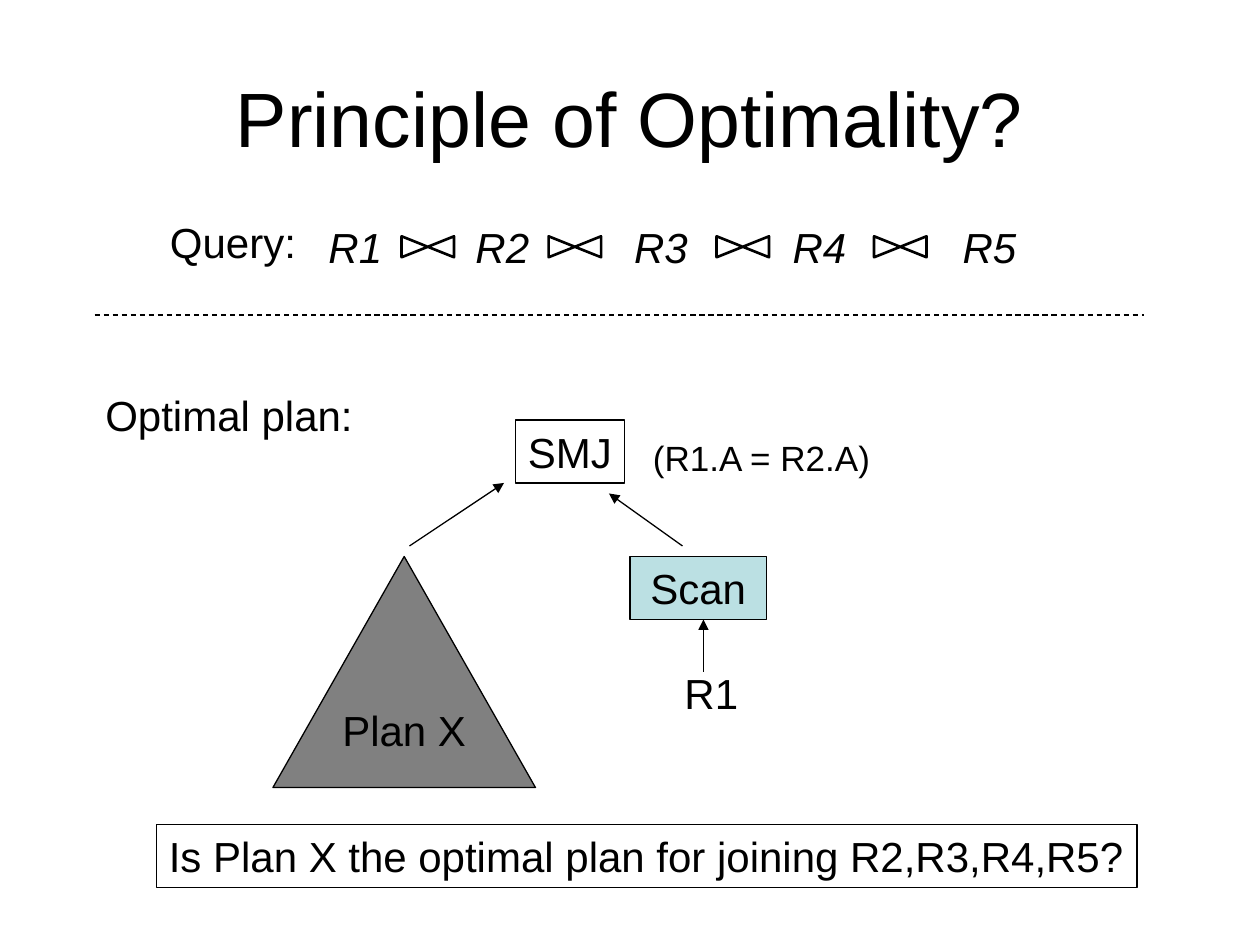
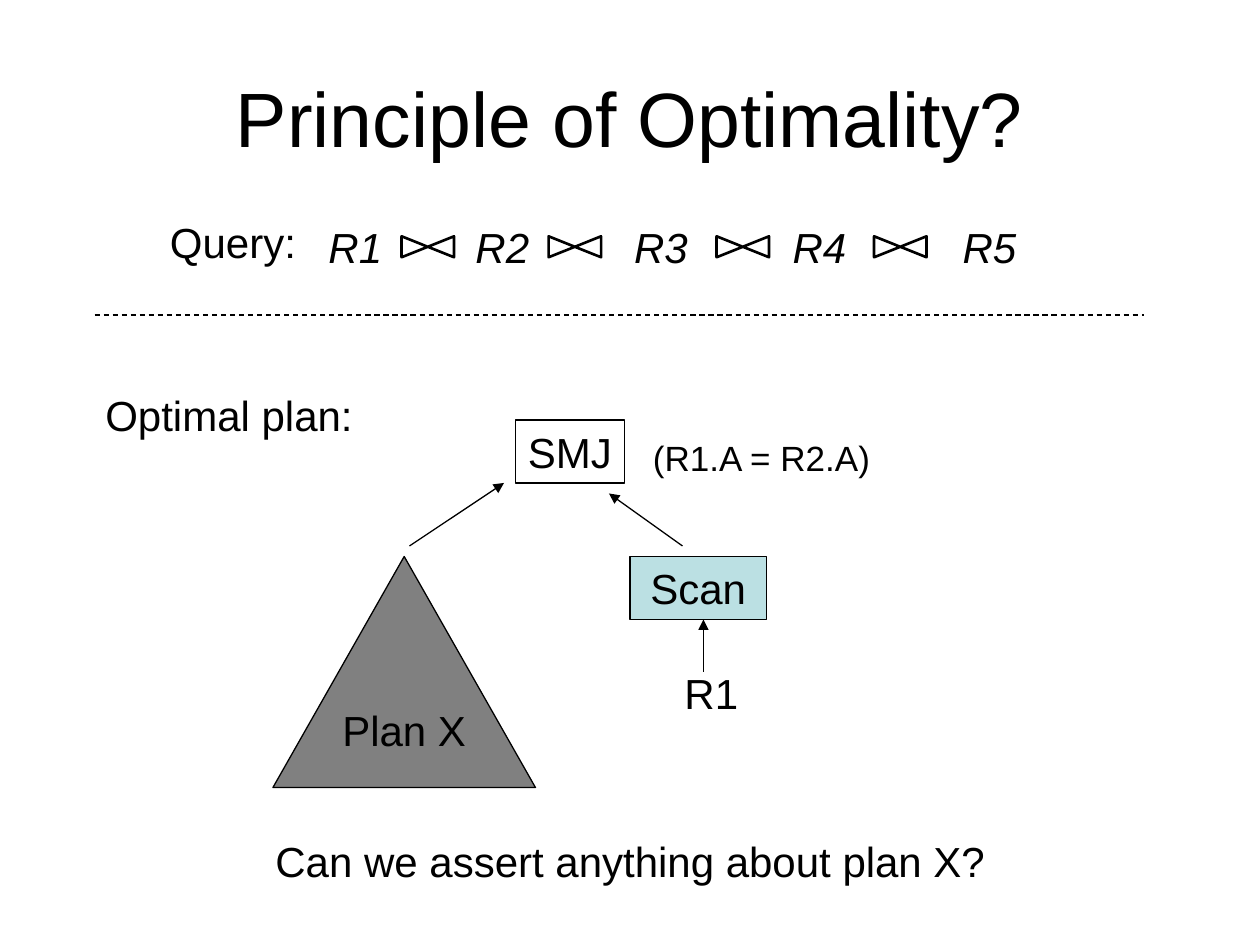
"""Build two slides on the principle of optimality for join plans."""
from pptx import Presentation
from pptx import util as u
from pptx.dml.color import RGBColor
from pptx.enum import dml, shapes, text
from pptx.oxml.ns import qn
from lxml import etree

BLACK = RGBColor(0x00, 0x00, 0x00)
WHITE = RGBColor(0xFF, 0xFF, 0xFF)
GRAY = RGBColor(0x80, 0x80, 0x80)
TEAL = RGBColor(0xBB, 0xE0, 0xE3)
FONT = "Arial"
LEFT, CENTER = text.PP_ALIGN.LEFT, text.PP_ALIGN.CENTER
TOP, MIDDLE = text.MSO_ANCHOR.TOP, text.MSO_ANCHOR.MIDDLE
RECT = shapes.MSO_SHAPE.RECTANGLE

deck = Presentation()
deck.slide_width, deck.slide_height = u.Inches(10), u.Inches(7.5)
COLUMN, ROW = deck.slide_width / 120, deck.slide_height / 90


def cells(x, y, width, height):
    return int(x * COLUMN), int(y * ROW), int(width * COLUMN), int(height * ROW)


def write(frame, words, size=24, align=LEFT, anchor=TOP, wrap=False, italic=None):
    frame.word_wrap = wrap
    frame.vertical_anchor = anchor
    paragraph = frame.paragraphs[0]
    paragraph.alignment = align
    run = paragraph.add_run()
    run.text = words
    run.font.name, run.font.size, run.font.italic = FONT, u.Pt(size), italic
    run.font.color.rgb = BLACK
    return paragraph


relations = ["R1", "R2", "R3", "R4", "R5"]
relation_stops = [14, 29.1, 44.2, 60.4]
join_columns = [39.75, 53.75, 69.75, 84.75]

labels = [
    ("Optimal plan:", (8.85, 36.5, 28, 6), 24),
    ("(R1.A = R2.A)", (61, 41, 25, 5.25), 20),
    ("R1", (64, 63, 9, 6), 24),
]
operators = [
    ("SMJ", RECT, (49.1, 40, 10.4, 6), None, LEFT, TOP),
    ("Plan X", shapes.MSO_SHAPE.ISOSCELES_TRIANGLE, (26, 53, 25, 22), GRAY, CENTER, MIDDLE),
    ("Scan", RECT, (60, 53, 13, 6), TEAL, CENTER, MIDDLE),
]
divider = (9, 30, 109, 30)
plan_edges = [(65, 52, 58, 47), (39, 52, 48, 46), (67, 64, 67, 59)]
questions = [
    ("Is Plan X the optimal plan for joining R2,R3,R4,R5?", (14.9, 78.5, 93.4, 6), True),
    ("Can we assert anything about plan X?", (25.05, 79, 72, 6), False),
]

for question, question_cells, framed in questions:
    slide = deck.slides.add_slide(deck.slide_layouts[5])
    heading = slide.shapes.title
    heading.left, heading.top, heading.width, heading.height = cells(6, 3.6, 108, 15)
    write(heading.text_frame, "Principle of Optimality?", 44, CENTER, MIDDLE, wrap=True)

    query = slide.shapes.add_group_shape()
    write(query.shapes.add_textbox(*cells(15, 20, 16, 6)).text_frame, "Query:")
    for column in join_columns:
        join = query.shapes.add_shape(shapes.MSO_SHAPE.FLOWCHART_COLLATE, *cells(column, 21, 2, 5))
        join.rotation = 270
        join.shadow.inherit = False
        join.fill.solid()
        join.fill.fore_color.rgb = WHITE
        join.line.color.rgb = BLACK
        join.line.width = u.Pt(1.5)
    relation_row = query.shapes.add_textbox(*cells(30.1, 20.5, 70, 6))
    row_line = write(relation_row.text_frame, "\t".join(relations), wrap=True, italic=True)
    tabs = etree.SubElement(row_line._p.get_or_add_pPr(), qn("a:tabLst"))
    for stop in relation_stops:
        etree.SubElement(tabs, qn("a:tab"), pos=str(int(stop * COLUMN)), algn="l")

    for words, place, size in labels:
        write(slide.shapes.add_textbox(*cells(*place)).text_frame, words, size, wrap=True)

    boxes = list(operators)
    if framed:
        boxes.append((question, RECT, question_cells, None, LEFT, TOP))
    else:
        write(slide.shapes.add_textbox(*cells(*question_cells)).text_frame, question, wrap=True)
    for words, outline, place, color, align, anchor in boxes:
        operator = slide.shapes.add_shape(outline, *cells(*place))
        operator.shadow.inherit = False
        if color is None:
            operator.fill.background()
        else:
            operator.fill.solid()
            operator.fill.fore_color.rgb = color
        operator.line.color.rgb = BLACK
        operator.line.width = u.Pt(0.75)
        write(operator.text_frame, words, align=align, anchor=anchor)

    for ends in [divider, *plan_edges]:
        edge = slide.shapes.add_connector(shapes.MSO_CONNECTOR.STRAIGHT, *cells(*ends))
        edge.line.color.rgb = BLACK
        edge.line.width = u.Pt(0.75)
        if ends == divider:
            edge.line.dash_style = dml.MSO_LINE.DASH
        else:
            etree.SubElement(edge.line._get_or_add_ln(), qn("a:tailEnd"), type="triangle")
        etree.SubElement(edge._element.spPr, qn("a:effectLst"))

deck.save("out.pptx")
